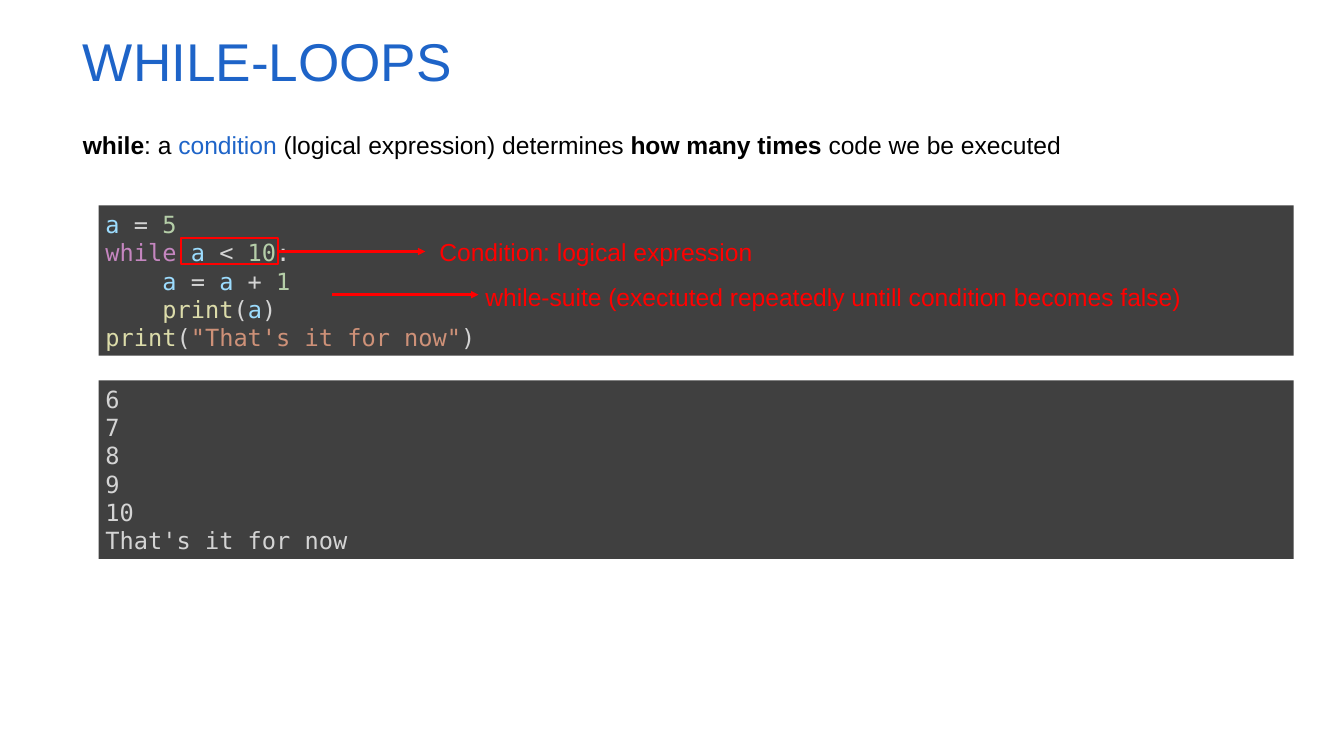
from pptx import Presentation
from pptx.dml.color import RGBColor as Rgb
from pptx.enum.shapes import MSO_CONNECTOR as Link, MSO_SHAPE as Form
from pptx.enum.text import MSO_ANCHOR as Anchor, MSO_AUTO_SIZE as Fit, PP_ALIGN as Align
from pptx.oxml.ns import qn
from pptx.util import Pt
from lxml.etree import SubElement as Sub

BLUE, RED, BLACK, DARK = "1E64C8", "FF0000", "000000", "404040"
PLAIN, VAR, NUM = "D4D4D4", "9CDCFE", "B5CEA8"
KEY, FUNC, STR = "C586C0", "DCDCAA", "CE9178"
MARGIN, PANEL, WIDE = 77, 100.1, 1213.9
INDENT = 57.8  # four characters of code
TITLE = {"name": "Arial", "size": Pt(54)}
BODY = {"name": "Arial", "size": Pt(25)}
MONO = {"name": "DejaVu Sans Mono", "size": Pt(24)}
PAD = {"margin_left": Pt(7.2), "margin_right": Pt(7.2),
       "margin_top": Pt(3.6), "margin_bottom": Pt(3.6)}

CODE = [
    (0, [("a", VAR), (" = ", PLAIN), ("5", NUM)]),
    (0, [("while ", KEY), ("a", VAR), (" < ", PLAIN), ("10", NUM), (":", PLAIN)]),
    (1, [("a", VAR), (" = ", PLAIN), ("a", VAR), (" + ", PLAIN), ("1", NUM)]),
    (1, [("print", FUNC), ("(", PLAIN), ("a", VAR), (")", PLAIN)]),
    (0, [("print", FUNC), ("(", PLAIN), ("\"That's it for now\"", STR), (")", PLAIN)]),
]
OUTPUT = [(0, [(text, PLAIN)])
          for text in ("6", "7", "8", "9", "10", "That's it for now")]
INTRO = [("while", BLACK, True), (": a ", BLACK), ("condition", BLUE),
         (" (logical expression) determines ", BLACK),
         ("how many times ", BLACK, True), ("code we be executed", BLACK)]


def color(code):
    return Rgb.from_string(code)


def apply(item, style):
    for key, value in style.items():
        setattr(item, key, value)


def write(para, runs, style, space):
    """Fill a paragraph with runs of (text, colour, bold)."""
    apply(para, {"alignment": Align.LEFT, "line_spacing": space})
    for text, code, *bold in runs:
        run = para.add_run()
        run.text = text
        apply(run.font, {**style, "bold": bool(bold)})
        run.font.color.rgb = color(code)


def head(slide, text):
    title = slide.shapes.title
    apply(title, {"left": Pt(MARGIN), "top": Pt(31.7),
                  "width": Pt(1237), "height": Pt(67.7)})
    apply(title.text_frame, {**PAD, "word_wrap": True, "auto_size": Fit.NONE,
                             "vertical_anchor": Anchor.MIDDLE})
    write(title.text_frame.paragraphs[0], [(text, BLUE)], TITLE, 0.9)


def label(slide, left, top, width, runs):
    box = slide.shapes.add_textbox(Pt(left), Pt(top), Pt(width), Pt(40.5))
    apply(box.text_frame, {**PAD, "word_wrap": False,
                           "auto_size": Fit.SHAPE_TO_FIT_TEXT})
    write(box.text_frame.paragraphs[0], runs, BODY, 1.2)


def block(slide, left, top, width, height):
    shape = slide.shapes.add_shape(
        Form.RECTANGLE, Pt(left), Pt(top), Pt(width), Pt(height))
    shape.shadow.inherit = False
    return shape


def panel(slide, top, height, lines):
    """Draw a dark box of code; each line is (indent level, runs)."""
    shape = block(slide, PANEL, top, WIDE, height)
    shape.fill.solid()
    shape.fill.fore_color.rgb = color(DARK)
    shape.line.fill.background()
    frame = shape.text_frame
    apply(frame, {**PAD, "word_wrap": True, "vertical_anchor": Anchor.MIDDLE,
                  "auto_size": Fit.SHAPE_TO_FIT_TEXT})
    for i, (level, runs) in enumerate(lines):
        para = frame.add_paragraph() if i else frame.paragraphs[0]
        write(para, runs, MONO, 1.0)
        if level:
            para._p.get_or_add_pPr().set("marL", str(int(Pt(level * INDENT))))


def stroke(line):
    line.color.rgb = color(RED)
    line.width = Pt(2.5)


def outline(slide, left, top, width, height):
    shape = block(slide, left, top, width, height)
    shape.fill.background()
    stroke(shape.line)


def arrow(slide, start, end, y):
    link = slide.shapes.add_connector(
        Link.STRAIGHT, Pt(start), Pt(y), Pt(end), Pt(y))
    stroke(link.line)
    props = link.element.spPr
    Sub(props.find(qn("a:ln")), qn("a:tailEnd"), type="triangle")
    Sub(props, qn("a:effectLst"))


def main():
    deck = Presentation()
    apply(deck, {"slide_width": Pt(1365.12), "slide_height": Pt(768.24)})
    slide = deck.slides.add_slide(deck.slide_layouts[5])
    head(slide, "WHILE-LOOPS")
    label(slide, MARGIN, 122.4, 1018.8, INTRO)
    panel(slide, 208.8, 152.6, CODE)
    panel(slide, 386.6, 181.4, OUTPUT)
    outline(slide, 183.6, 241.9, 98.6, 26.6)
    arrow(slide, 282.2, 432, 255.6)
    label(slide, 439.2, 231.1, 335.5, [("Condition: logical expression", RED)])
    arrow(slide, 337, 486, 299.5)
    label(slide, 486, 277.2, 728.6, [
        ("while-suite (exectuted repeatedly untill condition becomes false)", RED)])
    deck.save("out.pptx")


if __name__ == "__main__":
    main()
